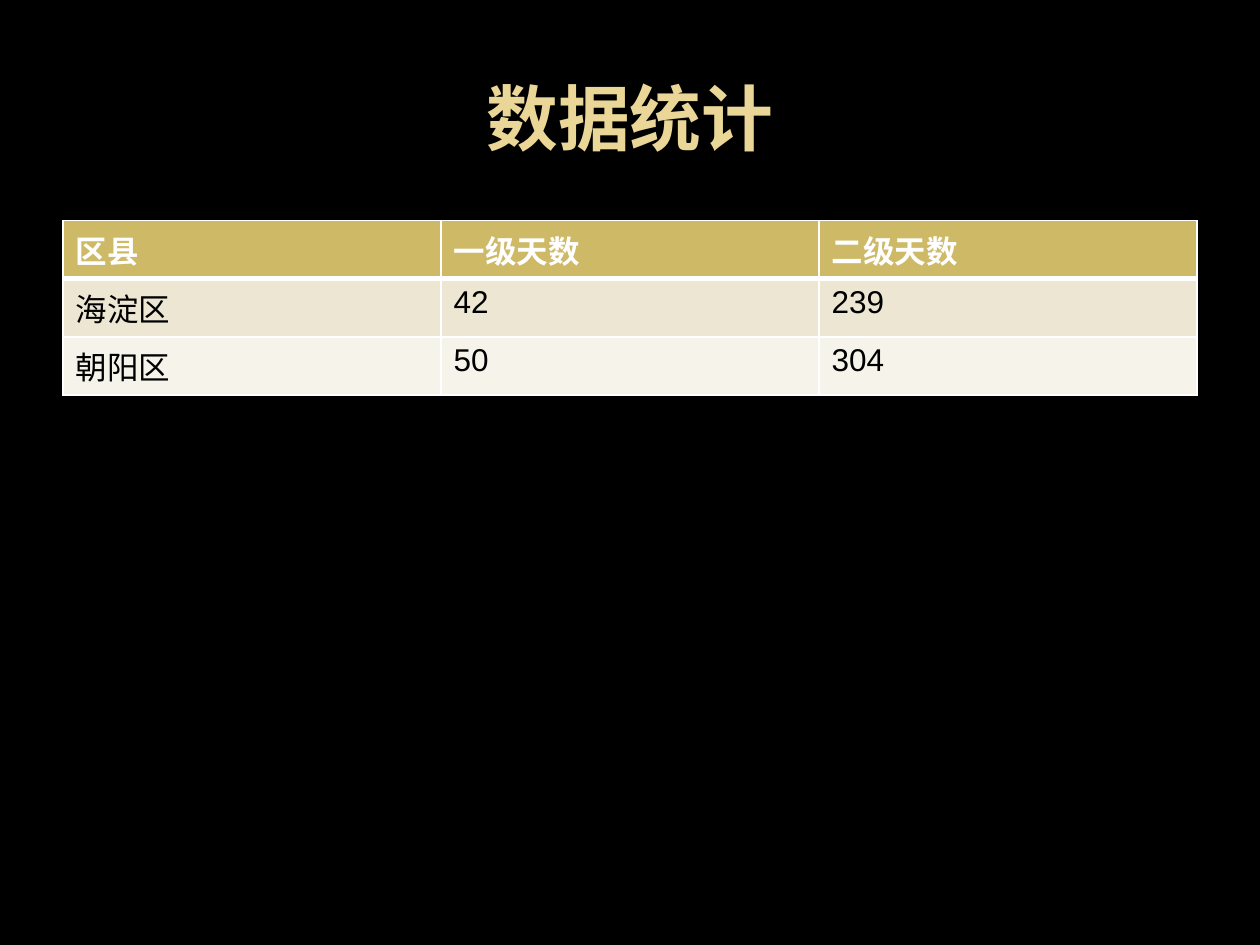
from lxml.etree import SubElement
from pptx import Presentation
from pptx.dml.color import RGBColor
from pptx.enum.text import MSO_ANCHOR, PP_ALIGN
from pptx.oxml.ns import qn
from pptx.util import Pt


def color(value):
    return RGBColor.from_string(value)


def add_border(cell, side, width):
    properties = cell._tc.get_or_add_tcPr()
    line = SubElement(properties, qn(f"a:ln{side}"), w=str(Pt(width)))
    fill = SubElement(line, qn("a:solidFill"))
    SubElement(fill, qn("a:srgbClr"), val="FFFFFF")


presentation = Presentation()
presentation.slide_width = Pt(720)
presentation.slide_height = Pt(540)
slide = presentation.slides.add_slide(presentation.slide_layouts[5])
slide.background.fill.solid()
slide.background.fill.fore_color.rgb = color("000000")

title = slide.shapes.title
title.left, title.top, title.width, title.height = Pt(36), Pt(21.6), Pt(648), Pt(90)
title.text_frame.text = "数据统计"
title.text_frame.vertical_anchor = MSO_ANCHOR.MIDDLE
paragraph = title.text_frame.paragraphs[0]
paragraph.alignment = PP_ALIGN.CENTER
paragraph.font.name = "Open Sans"
paragraph.font.size = Pt(41)
paragraph.font.bold = True
paragraph.font.color.rgb = color("EAD696")

rows = [
    ("区县", "一级天数", "二级天数"),
    ("海淀区", "42", "239"),
    ("朝阳区", "50", "304"),
]
row_fills = ["CEB966", "EDE6D3", "F6F3EA"]
row_height = 29.2
table = slide.shapes.add_table(
    len(rows), len(rows[0]), Pt(36), Pt(126), Pt(648), Pt(row_height * len(rows))
).table

for row_index, (texts, row_fill) in enumerate(zip(rows, row_fills)):
    is_header = row_index == 0
    for column_index, text in enumerate(texts):
        cell = table.cell(row_index, column_index)
        cell.text = text
        for side in "LRTB":
            is_header_rule = (row_index, side) in [(0, "B"), (1, "T")]
            add_border(cell, side, 3 if is_header_rule else 1)
        cell.fill.solid()
        cell.fill.fore_color.rgb = color(row_fill)
        font = cell.text_frame.paragraphs[0].font
        font.name = "Arial"
        font.size = Pt(18)
        font.bold = is_header
        font.color.rgb = color("FFFFFF" if is_header else "000000")

presentation.save("out.pptx")
